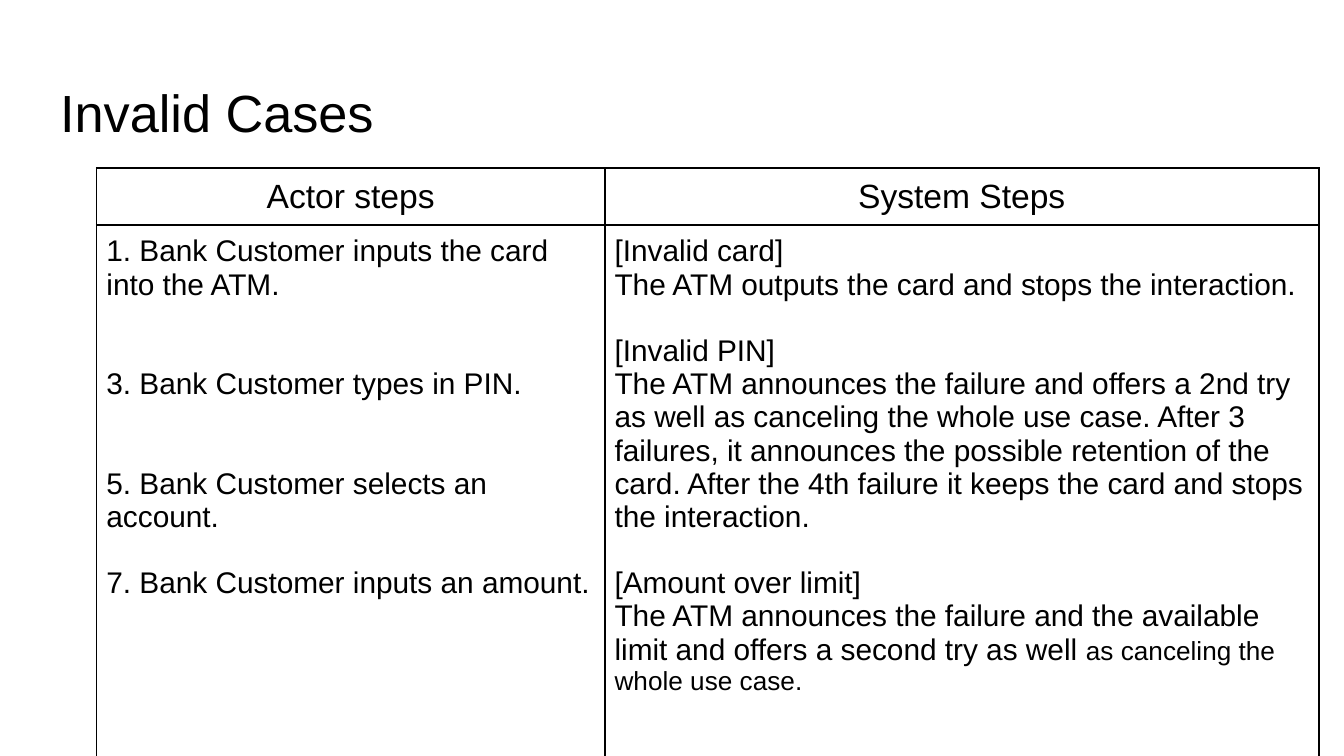
from dataclasses import dataclass

from lxml import etree
from pptx import Presentation, util as u
from pptx.dml.color import RGBColor
from pptx.enum import text
from pptx.oxml import ns

PX = 9525
FONT = "Arial"
COLORS = {"ink": "000000", "paper": "FFFFFF"}
BODY_SIZE = 16
LINE_PT = 17.8
CELL_INSET = 7
TITLE_INSET = 10


@dataclass(frozen=True)
class Run:
    words: str
    size: int = BODY_SIZE


@dataclass(frozen=True)
class Step:
    runs: tuple[Run, ...]
    lines_before: int = 0
    align: text.PP_ALIGN = text.PP_ALIGN.LEFT


def px(length: int) -> u.Emu:
    return u.Emu(length * PX)


def color(name: str) -> RGBColor:
    return RGBColor.from_string(COLORS[name])


def step(words: str, lines_before: int = 0) -> Step:
    return Step((Run(words),), lines_before)


def heading(words: str) -> Step:
    return Step((Run(words, 18),), align=text.PP_ALIGN.CENTER)


def write(frame, steps: tuple[Step, ...]) -> None:
    for index, item in enumerate(steps):
        paragraph = frame.add_paragraph() if index else frame.paragraphs[0]
        paragraph.alignment = item.align
        paragraph.space_before = u.Pt(item.lines_before * LINE_PT)
        for part in item.runs:
            run = paragraph.add_run()
            run.text = part.words
            run.font.size = u.Pt(part.size)
            run.font.name = FONT
            run.font.color.rgb = color("ink")


def inset(target, margin: int) -> None:
    target.margin_left = target.margin_right = px(margin)
    target.margin_top = target.margin_bottom = px(margin)


def draw_borders(cell) -> None:
    properties = cell._tc.get_or_add_tcPr()
    for position, side in enumerate(("lnL", "lnR", "lnT", "lnB")):
        line = etree.Element(ns.qn(f"a:{side}"), w=str(u.Pt(1)))
        fill = etree.SubElement(line, ns.qn("a:solidFill"))
        etree.SubElement(fill, ns.qn("a:srgbClr"), val=COLORS["ink"])
        properties.insert(position, line)


def draw_title(slide, words: str) -> None:
    title = slide.shapes.title
    title.left, title.top, title.width, title.height = map(px, (33, 47, 895, 60))
    frame = title.text_frame
    frame.word_wrap = True
    frame.auto_size = text.MSO_AUTO_SIZE.NONE
    frame.vertical_anchor = text.MSO_ANCHOR.TOP
    inset(frame, TITLE_INSET)
    write(frame, (Step((Run(words, 28),)),))


def draw_table(slide, rows: tuple[tuple[tuple[Step, ...], ...], ...]) -> None:
    widths, heights = (363, 510), (38, 386)
    table = slide.shapes.add_table(
        len(heights), len(widths), px(69), px(120), px(sum(widths)), px(sum(heights))
    ).table
    table.first_row = table.horz_banding = False
    for column, width in zip(table.columns, widths):
        column.width = px(width)
    for row, height, contents in zip(table.rows, heights, rows):
        row.height = px(height)
        for cell, steps in zip(row.cells, contents):
            cell.fill.solid()
            cell.fill.fore_color.rgb = color("paper")
            inset(cell, CELL_INSET)
            draw_borders(cell)
            write(cell.text_frame, steps)


ACTOR_STEPS = (
    step("1. Bank Customer inputs the card into the ATM."),
    step("3. Bank Customer types in PIN.", 2),
    step("5. Bank Customer selects an account.", 2),
    step("7. Bank Customer inputs an amount.", 1),
)
SYSTEM_STEPS = (
    step("[Invalid card]"),
    step("The ATM outputs the card and stops the interaction."),
    step("[Invalid PIN]", 1),
    step(
        "The ATM announces the failure and offers a 2nd try as well as canceling "
        "the whole use case. After 3 failures, it announces the possible retention "
        "of the card. After the 4th failure it keeps the card and stops the interaction."
    ),
    step("[Amount over limit]", 1),
    Step((
        Run("The ATM announces the failure and the available limit and offers a second try as well "),
        Run("as canceling the whole use case.", 14),
    )),
)


def main() -> None:
    deck = Presentation()
    deck.slide_width, deck.slide_height = px(960), px(540)
    slide = deck.slides.add_slide(deck.slide_layouts[5])
    draw_title(slide, "Invalid Cases")
    draw_table(slide, (
        ((heading("Actor steps"),), (heading("System Steps"),)),
        (ACTOR_STEPS, SYSTEM_STEPS),
    ))
    deck.save("out.pptx")


if __name__ == "__main__":
    main()
